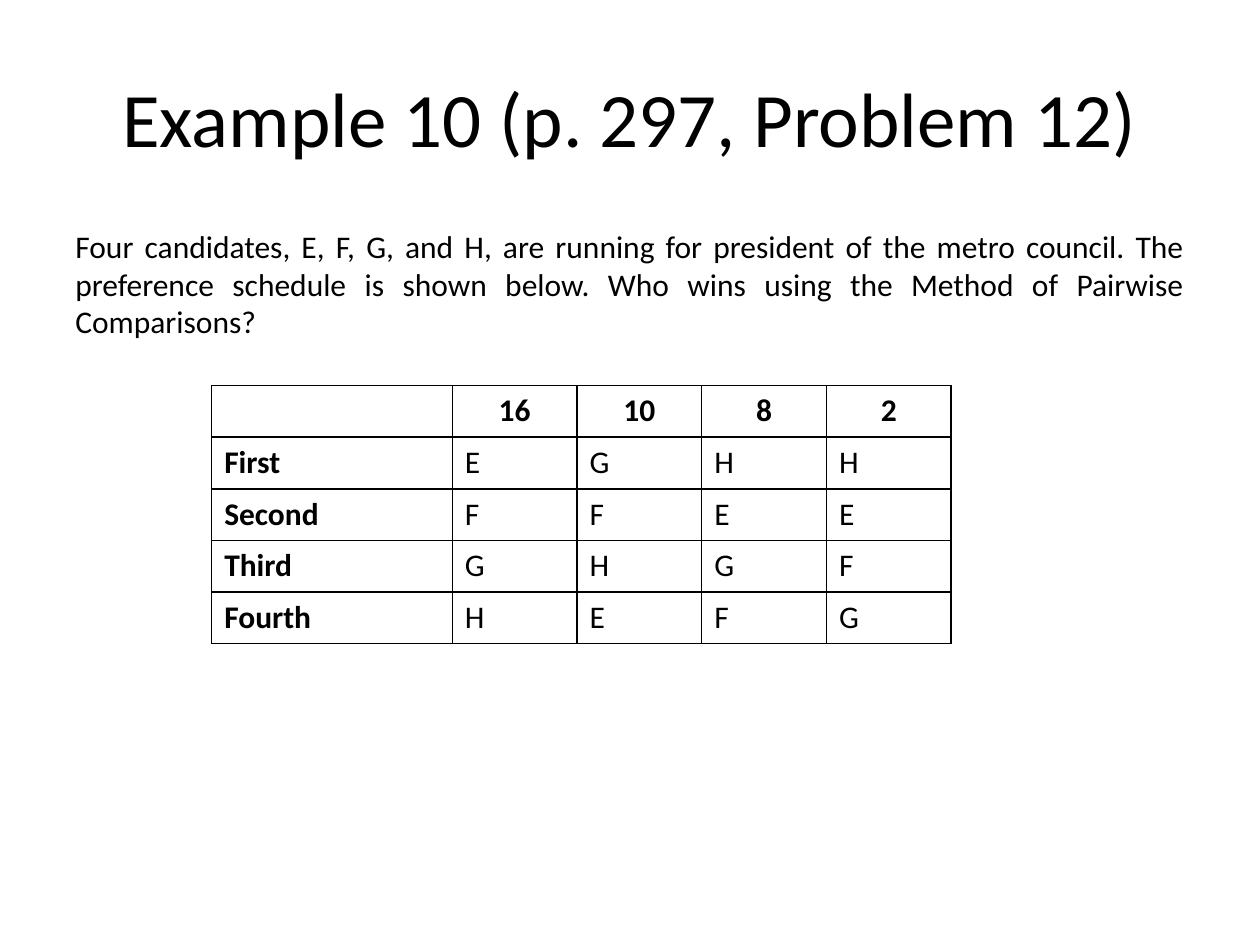
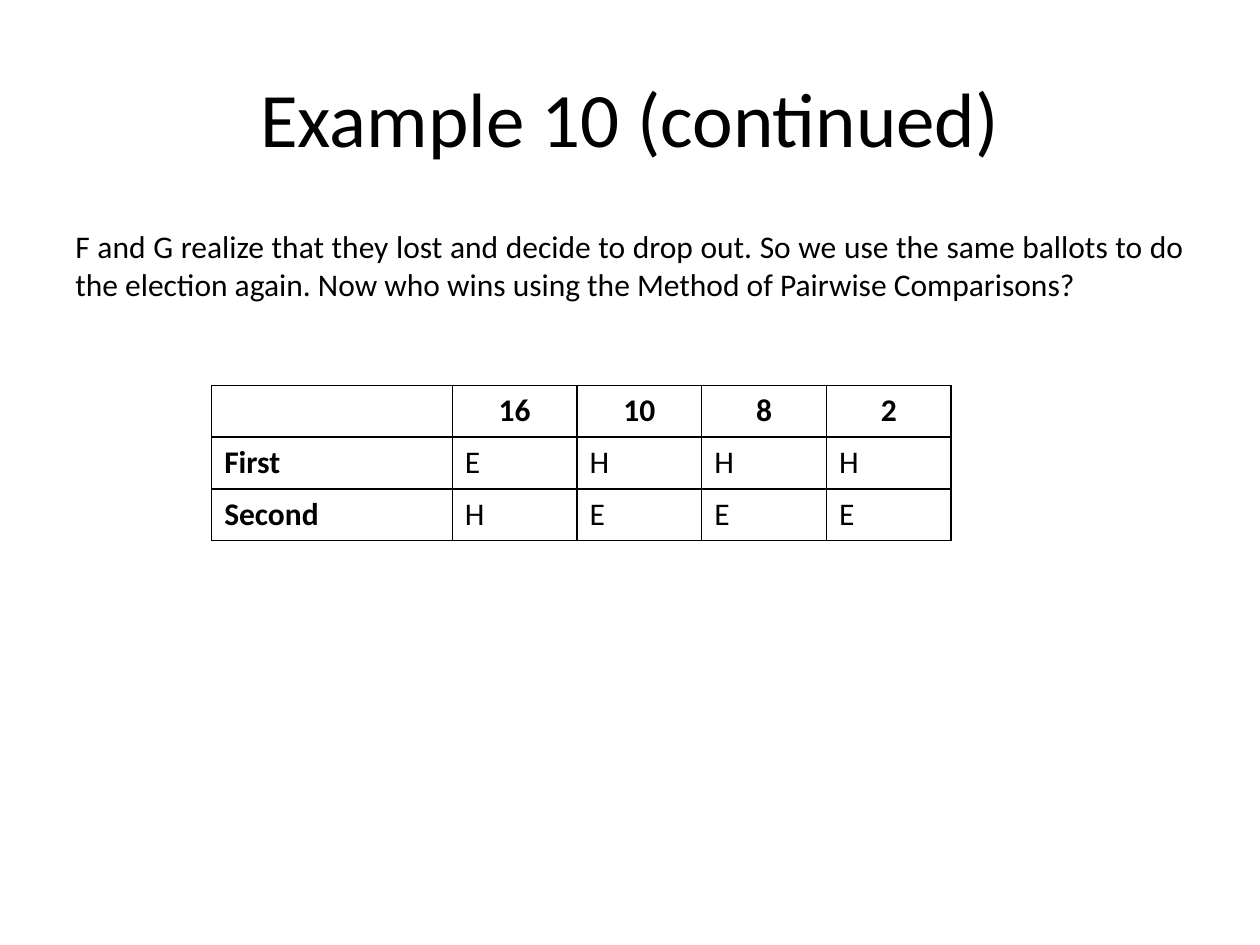
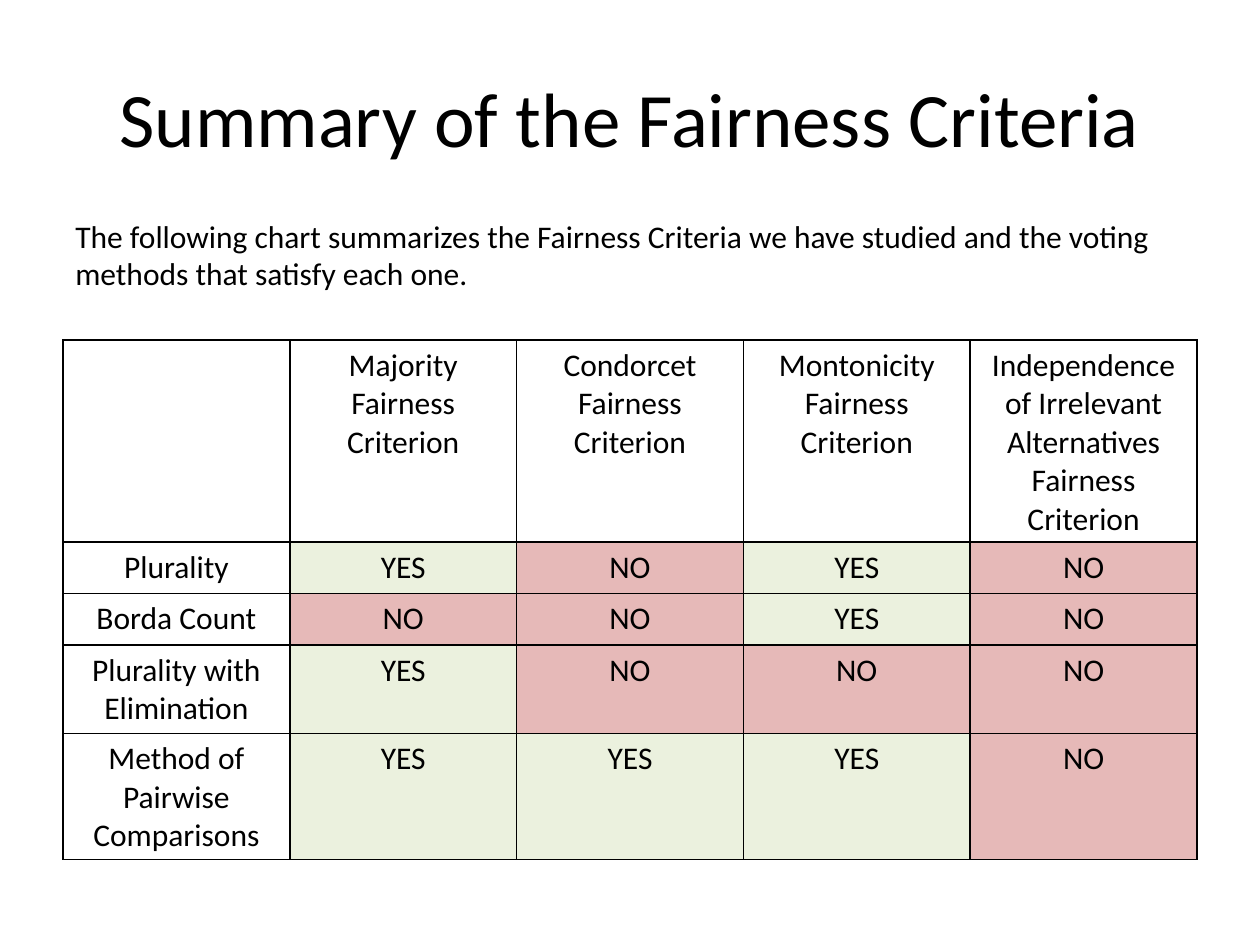
from lxml import etree
from pptx import Presentation
from pptx.dml.color import RGBColor
from pptx.enum.text import MSO_ANCHOR, PP_ALIGN
from pptx.oxml.ns import qn
from pptx.util import Inches, Pt

LEFT, CENTER, JUSTIFY = PP_ALIGN.LEFT, PP_ALIGN.CENTER, PP_ALIGN.JUSTIFY
TOP, MIDDLE = MSO_ANCHOR.TOP, MSO_ANCHOR.MIDDLE
BLACK = RGBColor(0x00, 0x00, 0x00)
WHITE = RGBColor(0xFF, 0xFF, 0xFF)
ANSWER_FILLS = {"YES": RGBColor(0xEB, 0xF1, 0xDE), "NO": RGBColor(0xE6, 0xB9, 0xB8)}

FONT = "Calibri"
TITLE_SIZE, BODY_SIZE = 44, 18
SLIDE_WIDTH, SLIDE_HEIGHT = 10, 7.5
MARGIN = SLIDE_WIDTH / 20
CONTENT_WIDTH = SLIDE_WIDTH - 2 * MARGIN
ROW_HEIGHT = 0.41
SCHEDULE_LEFT, SCHEDULE_TOP = 1.68, 3.06
SCHEDULE_COLUMNS = [1.91] + [0.99] * 4
BALLOT_COUNTS = ["", "16", "10", "8", "2"]
BLANK_LAYOUT = 6


def add_run(paragraph, text, size=BODY_SIZE, bold=False):
    """Append one run in the shared font."""
    run = paragraph.add_run()
    run.text = text
    run.font.name = FONT
    run.font.size = Pt(size)
    run.font.bold = bold
    run.font.color.rgb = BLACK


def add_text(slide, text, top, height, size=BODY_SIZE, align=LEFT, anchor=TOP):
    """Place one paragraph across the content width."""
    box = slide.shapes.add_textbox(
        Inches(MARGIN), Inches(top), Inches(CONTENT_WIDTH), Inches(height))
    frame = box.text_frame
    frame.word_wrap = True
    frame.vertical_anchor = anchor
    paragraph = frame.paragraphs[0]
    paragraph.alignment = align
    add_run(paragraph, text, size)


def add_titled_slide(presentation, title):
    """Add a blank slide with the shared title style."""
    slide = presentation.slides.add_slide(presentation.slide_layouts[BLANK_LAYOUT])
    add_text(slide, title, SLIDE_HEIGHT * 0.04, SLIDE_HEIGHT / 6,
             TITLE_SIZE, CENTER, MIDDLE)
    return slide


def outline_cell(cell):
    """Draw a black one-point border on all four sides of a cell."""
    properties = cell._tc.get_or_add_tcPr()
    for index, side in enumerate(("a:lnL", "a:lnR", "a:lnT", "a:lnB")):
        line = etree.Element(qn(side), w=str(Pt(1)))
        fill = etree.SubElement(line, qn("a:solidFill"))
        etree.SubElement(fill, qn("a:srgbClr"), val=str(BLACK))
        properties.insert(index, line)


def add_grid(slide, left, top, column_widths, rows):
    """Add an outlined, unfilled table and return its frame."""
    frame = slide.shapes.add_table(
        len(rows), len(column_widths), Inches(left), Inches(top),
        Inches(sum(column_widths)), Inches(ROW_HEIGHT * len(rows)))
    table = frame.table
    table.first_row = table.horz_banding = False
    for column, width in zip(table.columns, column_widths):
        column.width = Inches(width)
    for cell in table.iter_cells():
        cell.fill.background()
        outline_cell(cell)
    return frame


def fill_cell(cell, text, align, bold=False):
    """Write one aligned paragraph into a cell."""
    paragraph = cell.text_frame.paragraphs[0]
    paragraph.alignment = align
    if text:
        add_run(paragraph, text, bold=bold)


def add_preference_schedule(slide, ranks):
    """Add ballot counts above the candidates in order of preference."""
    rows = [BALLOT_COUNTS] + [[rank, *candidates] for rank, candidates in ranks]
    table = add_grid(slide, SCHEDULE_LEFT, SCHEDULE_TOP, SCHEDULE_COLUMNS, rows).table
    for i, row in enumerate(rows):
        for j, text in enumerate(row):
            fill_cell(table.cell(i, j), text, LEFT if i else CENTER,
                      bold=i == 0 or j == 0)


def add_criteria_table(slide, rows):
    """Add the table of voting methods with answers shaded by value."""
    columns = len(rows[0])
    frame = add_grid(slide, MARGIN, 2.7, [CONTENT_WIDTH / columns] * columns, rows)
    for i, row in enumerate(rows):
        for j, text in enumerate(row):
            cell = frame.table.cell(i, j)
            fill_cell(cell, text, CENTER)
            cell.fill.solid()
            cell.fill.fore_color.rgb = ANSWER_FILLS.get(text, WHITE)
    frame.height = Inches(4.11)


def add_example_slide(presentation, title, question, ranks):
    """Add an election question with its preference schedule."""
    slide = add_titled_slide(presentation, title)
    add_text(slide, question, 1.75, SLIDE_HEIGHT / 6, align=JUSTIFY)
    add_preference_schedule(slide, ranks)


def add_summary_slide(presentation):
    """Add the overview of voting methods and fairness criteria."""
    slide = add_titled_slide(presentation, "Summary of the Fairness Criteria")
    add_criteria_table(slide, [
        ["", "Majority Fairness Criterion", "Condorcet Fairness Criterion",
         "Montonicity Fairness Criterion",
         "Independence of Irrelevant Alternatives Fairness Criterion"],
        ["Plurality", "YES", "NO", "YES", "NO"],
        ["Borda Count", "NO", "NO", "YES", "NO"],
        ["Plurality with Elimination", "YES", "NO", "NO", "NO"],
        ["Method of Pairwise Comparisons", "YES", "YES", "YES", "NO"],
    ])
    add_text(slide, "The following chart summarizes the Fairness Criteria we have "
             "studied and the voting methods that satisfy each one.", 1.67, 0.71)


def main():
    """Build and save the presentation."""
    presentation = Presentation()
    presentation.slide_width = Inches(SLIDE_WIDTH)
    presentation.slide_height = Inches(SLIDE_HEIGHT)
    add_example_slide(
        presentation, "Example 10 (p. 297, Problem 12)",
        "Four candidates, E, F, G, and H, are running for president of the metro "
        "council. The preference schedule is shown below. Who wins using the "
        "Method of Pairwise Comparisons?",
        [("First", "EGHH"), ("Second", "FFEE"), ("Third", "GHGF"), ("Fourth", "HEFG")])
    add_example_slide(
        presentation, "Example 10 (continued)",
        "F and G realize that they lost and decide to drop out. So we use the same "
        "ballots to do the election again. Now who wins using the Method of "
        "Pairwise Comparisons?",
        [("First", "EHHH"), ("Second", "HEEE")])
    add_summary_slide(presentation)
    presentation.save("out.pptx")


main()
